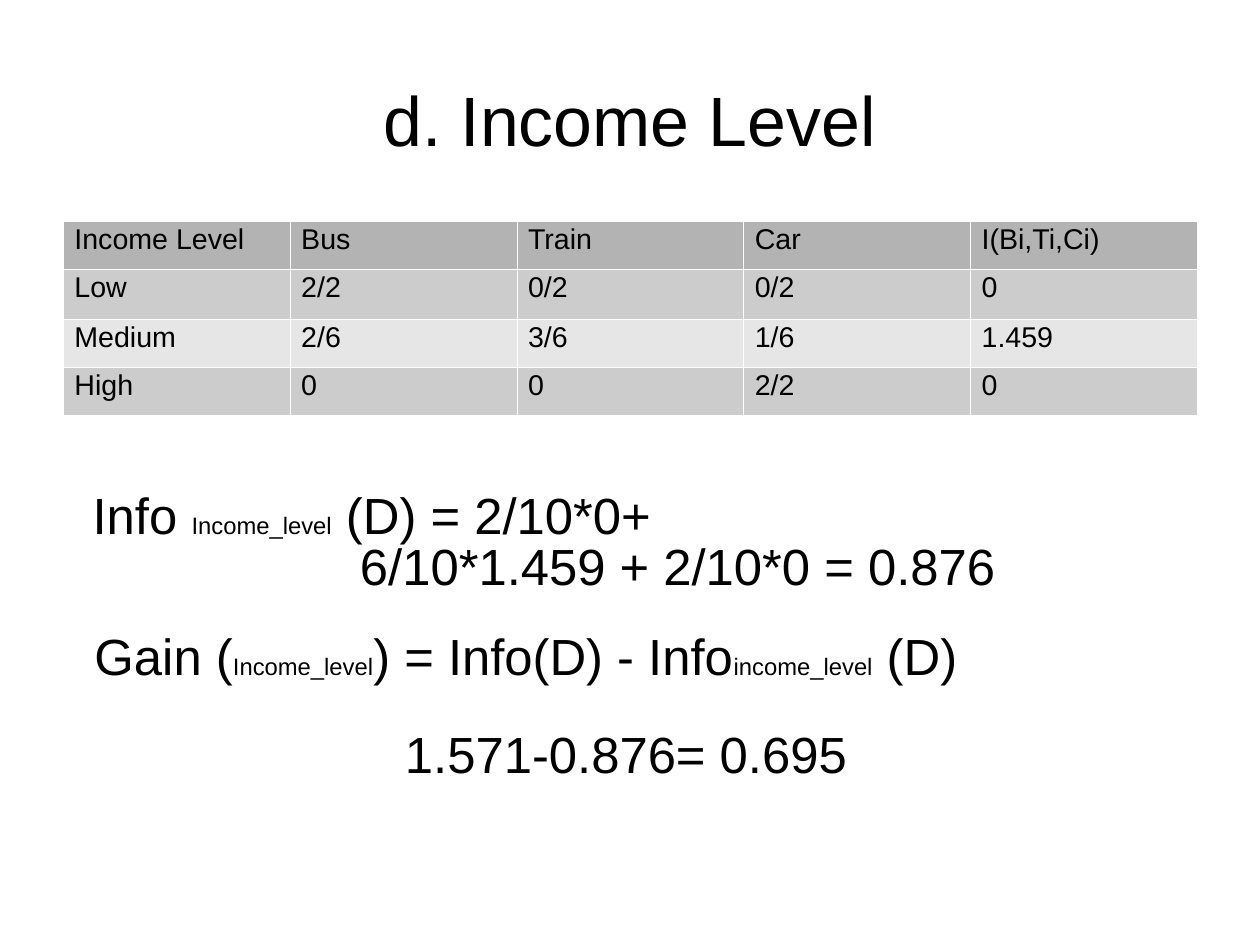
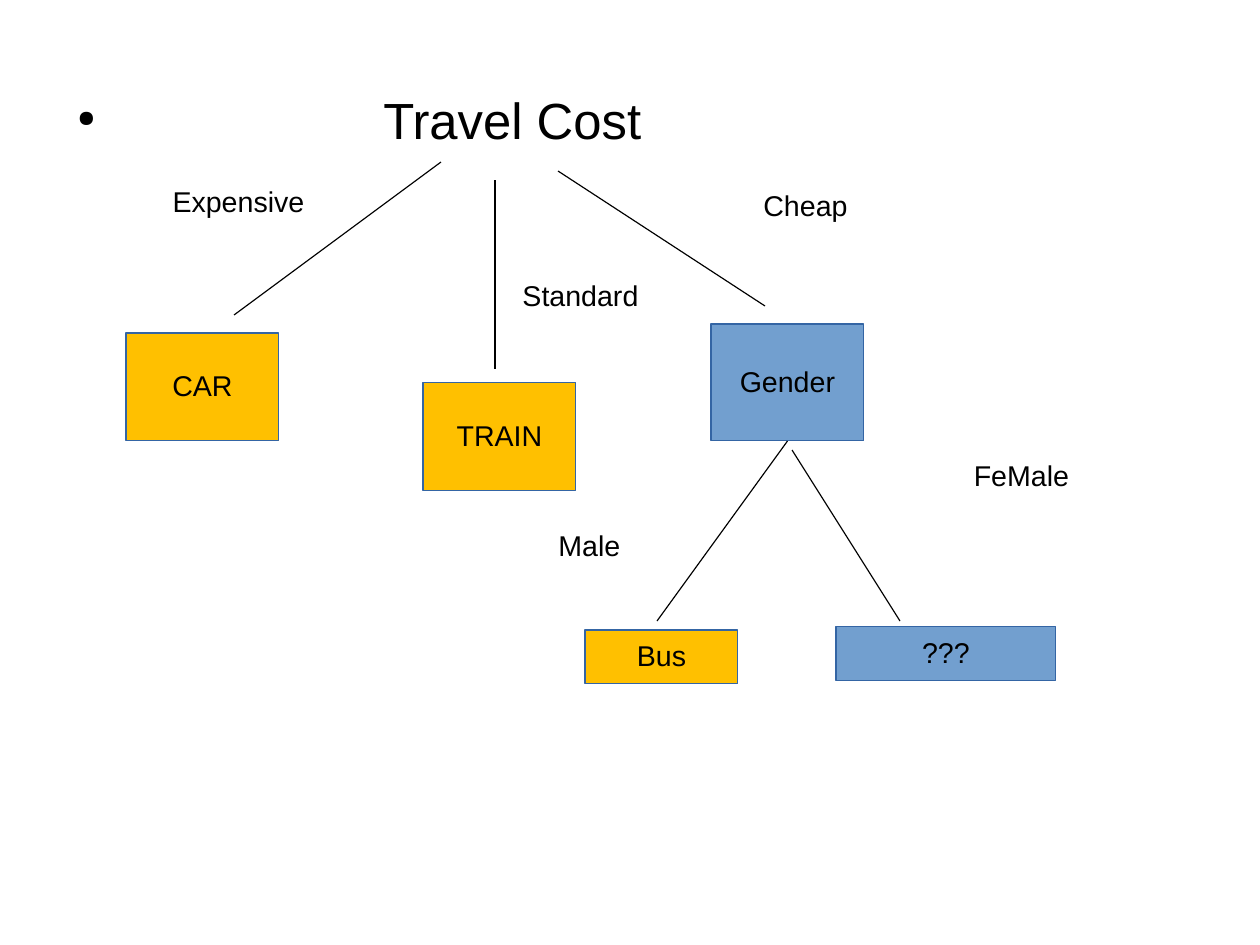
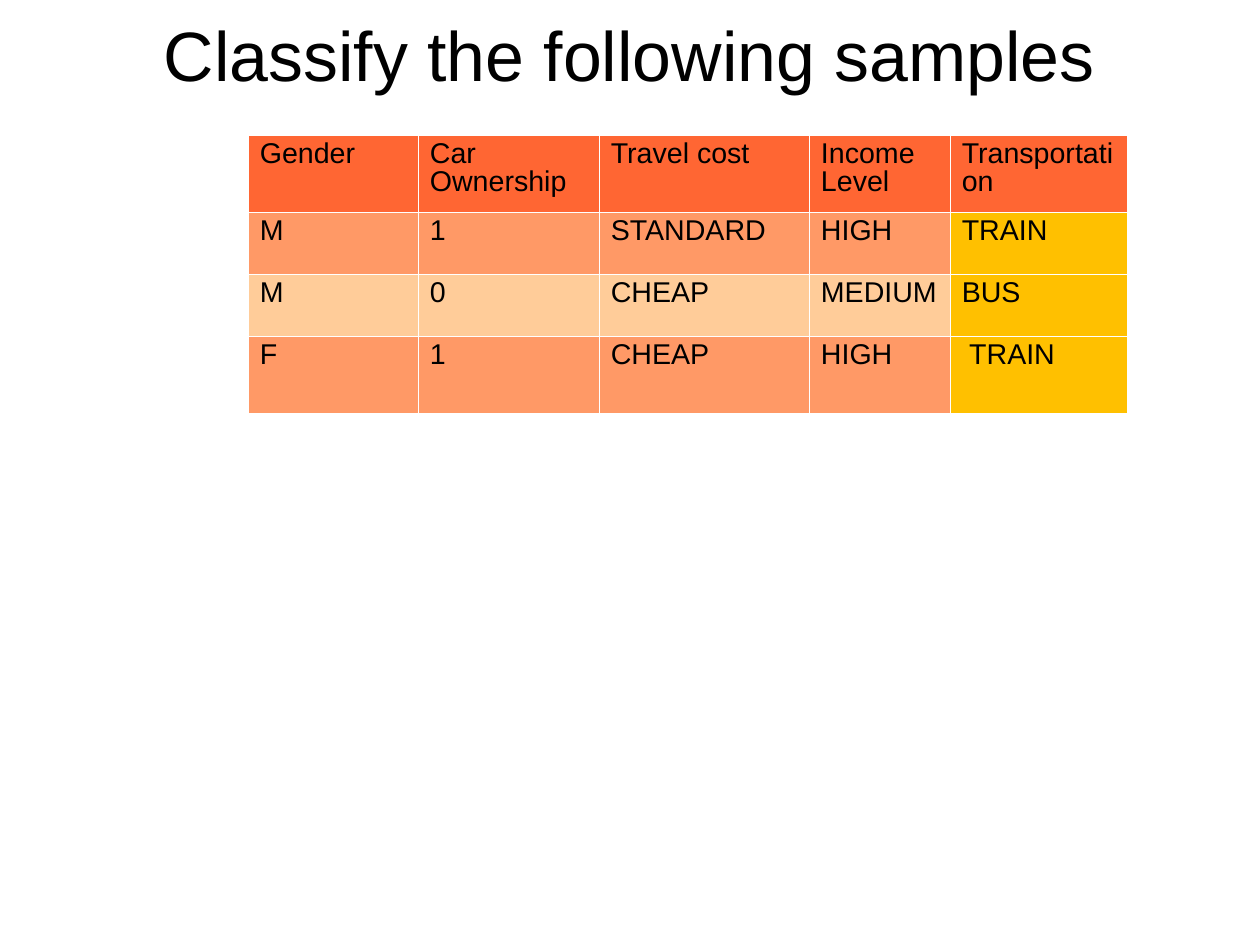
"""Build three slides on choosing transport with a decision tree."""
from lxml import etree
from pptx import Presentation
from pptx.dml.color import RGBColor
from pptx.enum.shapes import MSO_CONNECTOR, MSO_SHAPE
from pptx.enum.text import MSO_ANCHOR, PP_ALIGN
from pptx.oxml.ns import qn
from pptx.util import Cm, Inches, Pt

BLACK = RGBColor(0x00, 0x00, 0x00)
WHITE = RGBColor(0xFF, 0xFF, 0xFF)
AMBER = RGBColor(0xFF, 0xC0, 0x00)
BLUE = RGBColor(0x72, 0x9F, 0xCF)
OUTLINE = RGBColor(0x34, 0x65, 0xA4)
GREYS = [RGBColor(0xB3, 0xB3, 0xB3), RGBColor(0xCC, 0xCC, 0xCC), RGBColor(0xE6, 0xE6, 0xE6)]
ORANGES = [RGBColor(0xFF, 0x66, 0x33), RGBColor(0xFF, 0x99, 0x66), RGBColor(0xFF, 0xCC, 0x99)]
LEFT, CENTER = PP_ALIGN.LEFT, PP_ALIGN.CENTER
TOP, MIDDLE = MSO_ANCHOR.TOP, MSO_ANCHOR.MIDDLE
RECTANGLE, STRAIGHT = MSO_SHAPE.RECTANGLE, MSO_CONNECTOR.STRAIGHT
FONT = "Arial"
SUBSCRIPT_SIZE = 15
COLUMNS = 140

deck = Presentation()
deck.slide_width, deck.slide_height = Cm(28), Cm(21)
CELL = deck.slide_width / COLUMNS


def grid(*counts):
    return [round(CELL * count) for count in counts]


def write(frame, text, size=18, align=LEFT, spacing=0.94, anchor=None, wrap=None,
          padded=True, hanging=None, bullet=None):
    paragraph = frame.paragraphs[0]
    properties = paragraph._p.get_or_add_pPr()
    if hanging:
        margin, indent = grid(*hanging)
        properties.set("marL", str(margin))
        properties.set("indent", str(-indent))
    if bullet:
        colour = etree.SubElement(properties, qn("a:buClr"))
        etree.SubElement(colour, qn("a:srgbClr"), val=str(BLACK))
        etree.SubElement(properties, qn("a:buSzPct"), val="45000")
        etree.SubElement(properties, qn("a:buChar"), char=bullet)
    paragraph.alignment = align
    paragraph.line_spacing = spacing
    if anchor is not None:
        frame.vertical_anchor = anchor
    if wrap is not None:
        frame.word_wrap = wrap
    if not padded:
        frame.margin_left = frame.margin_right = frame.margin_bottom = 0
        frame.margin_top = Inches(0.03)
    for line_number, line in enumerate(text.split("\n")):
        if line_number:
            paragraph.add_line_break()
        for position, piece in enumerate(line.split("|")):
            run = paragraph.add_run()
            run.text = piece
            run.font.name = FONT
            run.font.size = Pt(SUBSCRIPT_SIZE if position % 2 else size)
            run.font.color.rgb = BLACK


income, tree, samples = [deck.slides.add_slide(deck.slide_layouts[6]) for _ in range(3)]

title_style = dict(size=44, align=CENTER, anchor=MIDDLE)
formula_style = dict(size=32, spacing=0.84, anchor=MIDDLE)
texts = [
    (income, (7, 4.7, 126, 17.5), "d. Income Level", title_style),
    (income, (10.3, 54, 119.5, 12.7),
     "Info |Income_level| (D) = 2/10*0+\n6/10*1.459 + 2/10*0 = 0.876",
     dict(formula_style, hanging=(29.7, 29.7))),
    (income, (10.5, 70, 101.5, 6.35),
     "Gain (|Income_level|) = Info(D) - Info|income_level| (D)", formula_style),
    (income, (45, 80.9, 50.2, 6.35), "1.571-0.876= 0.695", formula_style),
    (tree, (7, 10, 126, 88.5), "Travel Cost",
     dict(size=32, anchor=TOP, hanging=(35.6, 34), bullet="●")),
    (samples, (7, 0.65, 126, 11.3), "Classify the following samples", title_style),
]
for slide, area, text, style in texts:
    box = slide.shapes.add_textbox(*grid(*area))
    write(box.text_frame, text, wrap=True, padded=False, **style)

income_rows = [
    ["Income Level", "Bus", "Train", "Car", "I(Bi,Ti,Ci)"],
    ["Low", "2/2", "0/2", "0/2", "0"],
    ["Medium", "2/6", "3/6", "1/6", "1.459"],
    ["High", "0", "0", "2/2", "0"],
]
sample_rows = [
    ["Gender", "Car Ownership", "Travel cost", "Income Level", "Transportation"],
    ["M", "1", "STANDARD", "HIGH", "TRAIN"],
    ["M", "0", "CHEAP", "MEDIUM", "BUS"],
    ["F", "1", "CHEAP", "HIGH", " TRAIN"],
]
tables = [
    (income, (7, 24.6), [126 / 5] * 5, [5.3, 5.6, 5.3, 5.3], income_rows, GREYS, None),
    (samples, (27.6, 15), [18.9, 20.1, 23.35, 15.65, 19.6], [8.6, 6.85, 6.85, 8.6],
     sample_rows, ORANGES, AMBER),
]
for slide, corner, widths, heights, rows, shades, answer_fill in tables:
    area = grid(*corner, sum(widths), sum(heights))
    table = slide.shapes.add_table(len(rows), len(widths), *area).table
    for column, width in zip(table.columns, grid(*widths)):
        column.width = width
    for row, height in zip(table.rows, grid(*heights)):
        row.height = height
    for row_number, values in enumerate(rows):
        shade = shades[2 - row_number % 2] if row_number else shades[0]
        for column_number, value in enumerate(values):
            cell = table.cell(row_number, column_number)
            write(cell.text_frame, value, spacing=0.89)
            cell_properties = cell._tc.get_or_add_tcPr()
            for side in ("lnL", "lnR", "lnT", "lnB"):
                border = etree.SubElement(cell_properties, qn(f"a:{side}"), w="720")
                border_fill = etree.SubElement(border, qn("a:solidFill"))
                etree.SubElement(border_fill, qn("a:srgbClr"), val=str(WHITE))
            is_answer = answer_fill and row_number and column_number == len(values) - 1
            cell.fill.solid()
            cell.fill.fore_color.rgb = answer_fill if is_answer else shade

nodes = [
    ("Expensive", (18, 18, 17, 9), WHITE, WHITE),
    ("Standard", (56, 27, 17, 12), WHITE, WHITE),
    ("Cheap", (81, 17, 17, 12), WHITE, WHITE),
    ("Male", (57, 56, 17, 9.5), WHITE, WHITE),
    ("FeMale", (105, 47, 17, 12), WHITE, WHITE),
    ("CAR", (14, 37, 17, 12), AMBER, OUTLINE),
    ("TRAIN", (47, 42.5, 17, 12), AMBER, OUTLINE),
    ("Gender", (79, 36, 17, 13), BLUE, OUTLINE),
    ("Bus", (65, 70, 17, 6), AMBER, OUTLINE),
    ("???", (92.9, 69.6, 24.4, 6), BLUE, OUTLINE),
]
placed = {}
for label, area, fill, outline in nodes:
    node = placed[label] = tree.shapes.add_shape(RECTANGLE, *grid(*area))
    node.shadow.inherit = False
    node.fill.solid()
    node.fill.fore_color.rgb = fill
    node.line.color.rgb = outline
    node.line.width = Pt(0.75)
    write(node.text_frame, label, align=CENTER, anchor=MIDDLE, wrap=False)

branches = [
    ((49, 18, 26, 35), None),
    ((55, 20, 55, 41), None),
    ((62, 19, 85, 34), None),
    ((87.5, 49, 73, 69), "Gender"),
    ((88, 50, 100, 69), None),
]
for ends, parent in branches:
    branch = tree.shapes.add_connector(STRAIGHT, *grid(*ends))
    if parent:
        branch.begin_connect(placed[parent], 2)
    branch.line.color.rgb = BLACK
    branch.line.width = Pt(0.75)
    etree.SubElement(branch._element.spPr, qn("a:effectLst"))

deck.save("out.pptx")
